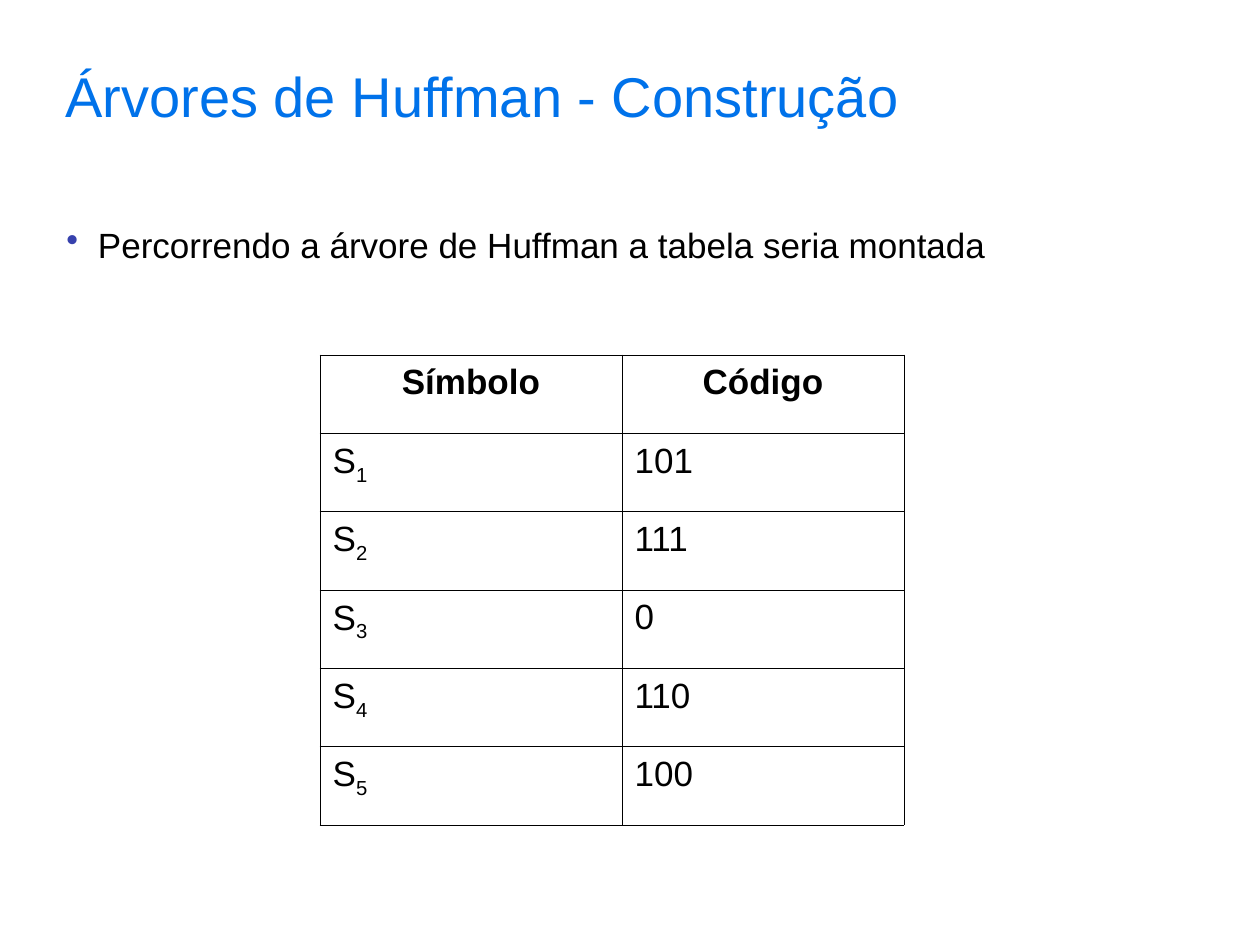
"""Build a slide with the code table read from a Huffman tree."""
from dataclasses import dataclass

from lxml.etree import SubElement
from pptx import Presentation
from pptx.dml.color import RGBColor as RGB
from pptx.enum.text import PP_ALIGN as ALIGN
from pptx.oxml.ns import qn
from pptx.util import Pt

PX = 914400 // 126
FONT = "Arial"
COLORS = {"title": "0072EA", "text": "000000", "bullet": "3641AD", "border": "000000"}
BORDER_PT = 0.45


@dataclass
class Box:
    x: int
    y: int
    w: int
    h: int

    def emu(self) -> list[int]:
        return [v * PX for v in (self.x, self.y, self.w, self.h)]


@dataclass
class Code:
    index: str
    bits: str


TITLE = Box(53, 63, 1067, 134)
BODY = Box(54, 215, 1153, 606)
TABLE = Box(320, 355, 584, 470)
COL_WIDTHS = (302, 282)
CODES = [Code("1", "101"), Code("2", "111"), Code("3", "0"),
         Code("4", "110"), Code("5", "100")]


def write(tf, text: str, *, sub: str = "", size: int = 20, color: str = "text",
          bold: bool = False, align=ALIGN.LEFT, line: float = 1.05,
          space: float = 12.5, bullet: bool = False) -> None:
    tf.word_wrap = True
    p = tf.paragraphs[0]
    p.alignment, p.line_spacing = align, line
    p.space_before = p.space_after = Pt(space)
    for part, baseline in ((text, 0), (sub, -25000)):
        if not part:
            continue
        r = p.add_run()
        r.text = part
        r.font.name, r.font.size, r.font.bold = FONT, Pt(size), bold
        r.font.color.rgb = RGB.from_string(COLORS[color])
        if baseline:
            r.font._element.set("baseline", str(baseline))
    if bullet:
        pPr = p._p.get_or_add_pPr()
        indent = 914400 // 4
        pPr.set("marL", str(indent))
        pPr.set("indent", str(-indent))
        clr = SubElement(pPr, qn("a:buClr"))
        SubElement(clr, qn("a:srgbClr"), val=COLORS["bullet"])
        SubElement(pPr, qn("a:buChar"), char="•")


def add_text(slide, box: Box, text: str, **fmt) -> None:
    write(slide.shapes.add_textbox(*box.emu()).text_frame, text, **fmt)


def outline(cell) -> None:
    tcPr = cell._tc.get_or_add_tcPr()
    for side in ("a:lnL", "a:lnR", "a:lnT", "a:lnB"):
        ln = SubElement(tcPr, qn(side), w=str(Pt(BORDER_PT)))
        fill = SubElement(ln, qn("a:solidFill"))
        SubElement(fill, qn("a:srgbClr"), val=COLORS["border"])
    cell.fill.background()


def add_codes(slide, box: Box, codes: list[Code]) -> None:
    table = slide.shapes.add_table(len(codes) + 1, len(COL_WIDTHS), *box.emu()).table
    table.first_row = table.horz_banding = False
    for col, width in zip(table.columns, COL_WIDTHS):
        col.width = width * PX
    for cell, head in zip(table.rows[0].cells, ("Símbolo", "Código")):
        write(cell.text_frame, head, bold=True, align=ALIGN.CENTER)
    for i, code in enumerate(codes, 1):
        write(table.cell(i, 0).text_frame, "S", sub=code.index)
        write(table.cell(i, 1).text_frame, code.bits)
    for cell in table.iter_cells():
        outline(cell)


def main() -> None:
    prs = Presentation()
    prs.slide_width, prs.slide_height = 1260 * PX, 945 * PX
    slide = prs.slides.add_slide(prs.slide_layouts[6])
    add_text(slide, TITLE, "Árvores de Huffman - Construção",
             size=32, color="title", line=0.9, space=0)
    add_text(slide, BODY, "Percorrendo a árvore de Huffman a tabela seria montada",
             bullet=True)
    add_codes(slide, TABLE, CODES)
    prs.save("out.pptx")


if __name__ == "__main__":
    main()
